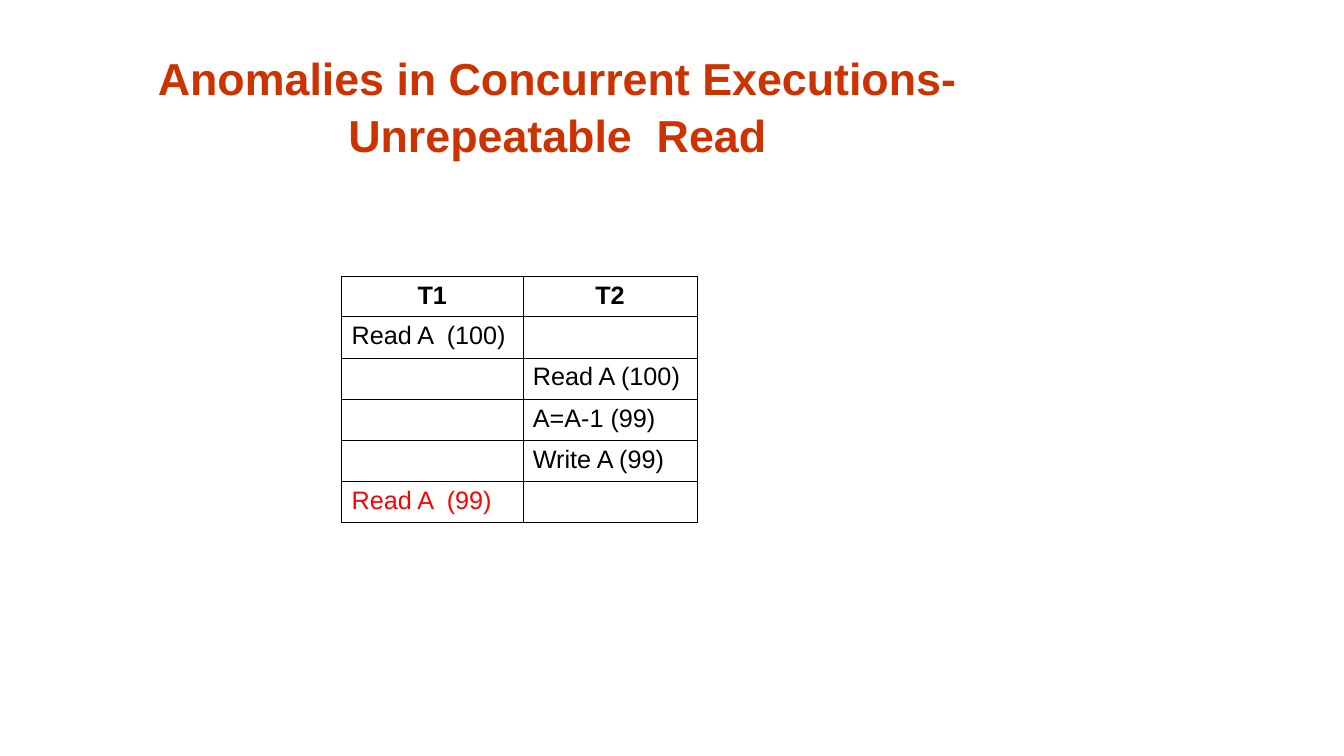
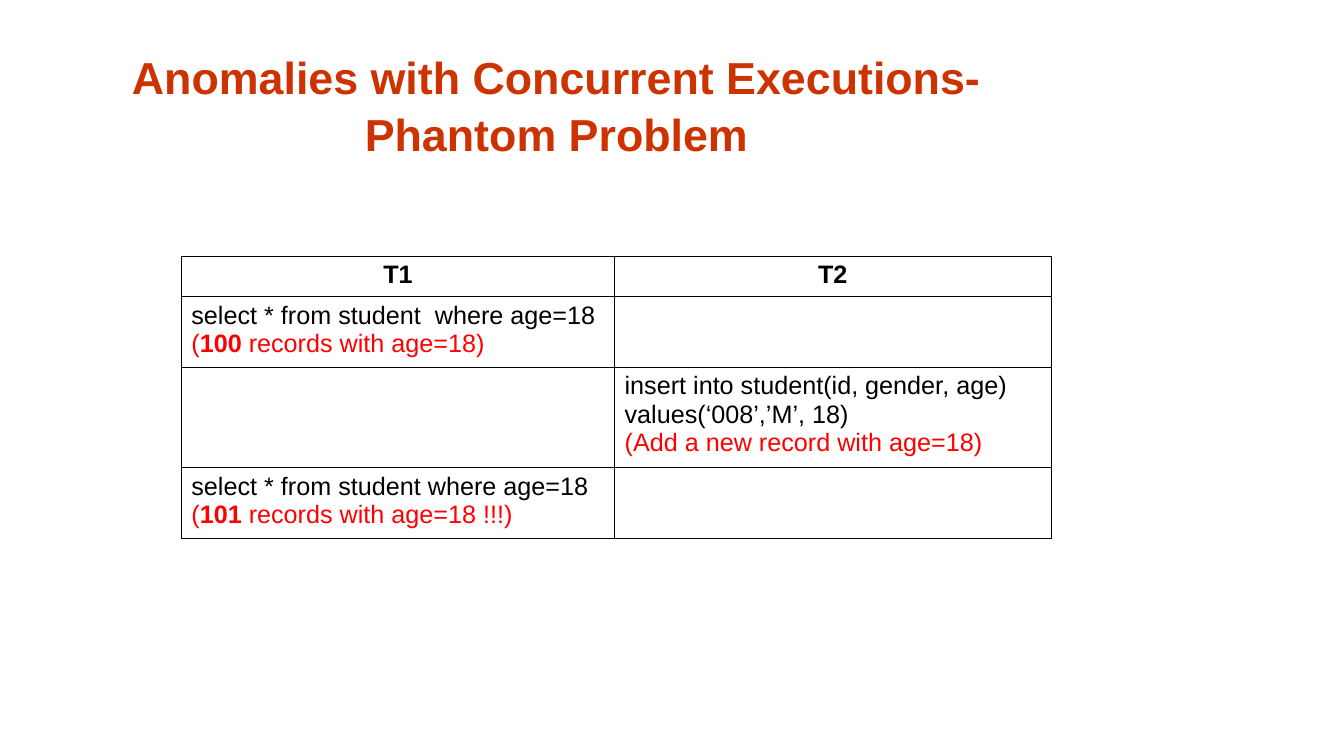
from lxml import etree
from pptx import Presentation
from pptx.dml.color import RGBColor
from pptx.enum.text import MSO_ANCHOR as Anchor, MSO_AUTO_SIZE as AutoSize, PP_ALIGN as Align
from pptx.oxml import parse_xml
from pptx.oxml.ns import nsdecls
from pptx.util import Inches, Pt

# Shared style
FONT = "Arial"
TITLE_COLOR = RGBColor(0xCC, 0x33, 0x00)
BLACK = RGBColor(0x00, 0x00, 0x00)
RED = RGBColor(0xFF, 0x00, 0x00)
BORDER_WIDTH = Pt(0.45)
TITLE_LAYOUT = 5


def write_run(paragraph, text, size=18, color=BLACK, bold=False):
    run = paragraph.add_run()
    run.text = text
    run.font.name = FONT
    run.font.size = Pt(size)
    run.font.bold = bold
    run.font.color.rgb = color


def draw_borders(cell):
    properties = cell._tc.get_or_add_tcPr()
    for index, side in enumerate(("lnL", "lnR", "lnT", "lnB")):
        line = parse_xml(
            f'<a:{side} {nsdecls("a")} w="{BORDER_WIDTH}"><a:solidFill>'
            f'<a:srgbClr val="{BLACK}"/></a:solidFill></a:{side}>')
        properties.insert(index, line)


# Content: a cell is a list of paragraphs, a paragraph a list of (text, format) runs
def plain(text, **style):
    return [(text, style)]


def record_count(count, rest):
    return [("(", {"color": RED}), (count, {"color": RED, "bold": True}), (rest, {"color": RED})]


HEADER = [[plain(name, bold=True)] for name in ("T1", "T2")]

SLIDES = [
    {
        "title": ["Anomalies in Concurrent Executions-", "Unrepeatable  Read"],
        "title_at": (1.12, 0.55),
        "table_at": (3.39, 2.74),
        "columns": [1.8, 1.73],
        "heights": [0.4, 0.41, 0.41, 0.41, 0.41, 0.4],
        "rows": [
            HEADER,
            [[plain("Read A  (100)")], []],
            [[], [plain("Read A (100)")]],
            [[], [plain("A=A-1 (99)")]],
            [[], [plain("Write A (99)")]],
            [[plain("Read A  (99)", color=RED)], []],
        ],
    },
    {
        "title": ["Anomalies with Concurrent Executions-", "Phantom Problem"],
        "title_at": (1.11, 0.54),
        "table_at": (1.8, 2.54),
        "columns": [4.3, 4.33],
        "heights": [0.4, 0.7, 1, 0.7],
        "rows": [
            HEADER,
            [[plain("select * from student  where age=18"),
              record_count("100", " records with age=18)")], []],
            [[], [plain("insert into student(id, gender, age)"),
                  plain("values(‘008’,’M’, 18)"),
                  plain("(Add a new record with age=18)", color=RED)]],
            [[plain("select * from student where age=18"),
              record_count("101", " records with age=18 !!!)")], []],
        ],
    },
]

presentation = Presentation()
presentation.slide_width = Inches(13.34)
presentation.slide_height = Inches(7.5)

for content in SLIDES:
    slide = presentation.slides.add_slide(presentation.slide_layouts[TITLE_LAYOUT])

    # Title
    title = slide.shapes.title
    title.left, title.top = map(Inches, content["title_at"])
    title.width, title.height = Inches(8.83), Inches(1.1)
    frame = title.text_frame
    frame.word_wrap = True
    frame.auto_size = AutoSize.NONE
    frame.vertical_anchor = Anchor.BOTTOM
    paragraph = frame.paragraphs[0]
    paragraph.alignment = Align.CENTER
    paragraph.line_spacing = 1.05
    for number, line in enumerate(content["title"]):
        if number:
            paragraph.add_line_break()
        write_run(paragraph, line, size=32, color=TITLE_COLOR, bold=True)

    # Schedule table
    columns, heights = content["columns"], content["heights"]
    left, top = content["table_at"]
    table = slide.shapes.add_table(
        len(heights), len(columns), Inches(left), Inches(top),
        Inches(sum(columns)), Inches(sum(heights))).table
    table.first_row = table.horz_banding = False
    for column, width in zip(table.columns, columns):
        column.width = Inches(width)
    for row, height in zip(table.rows, heights):
        row.height = Inches(height)

    # Cells
    for row_number, (row, texts) in enumerate(zip(table.rows, content["rows"])):
        for cell, paragraphs in zip(row.cells, texts):
            cell.fill.background()
            draw_borders(cell)
            for number, runs in enumerate(paragraphs):
                frame = cell.text_frame
                paragraph = frame.add_paragraph() if number else frame.paragraphs[0]
                paragraph.alignment = Align.LEFT if row_number else Align.CENTER
                for text, style in runs:
                    write_run(paragraph, text, **style)

presentation.save("out.pptx")
